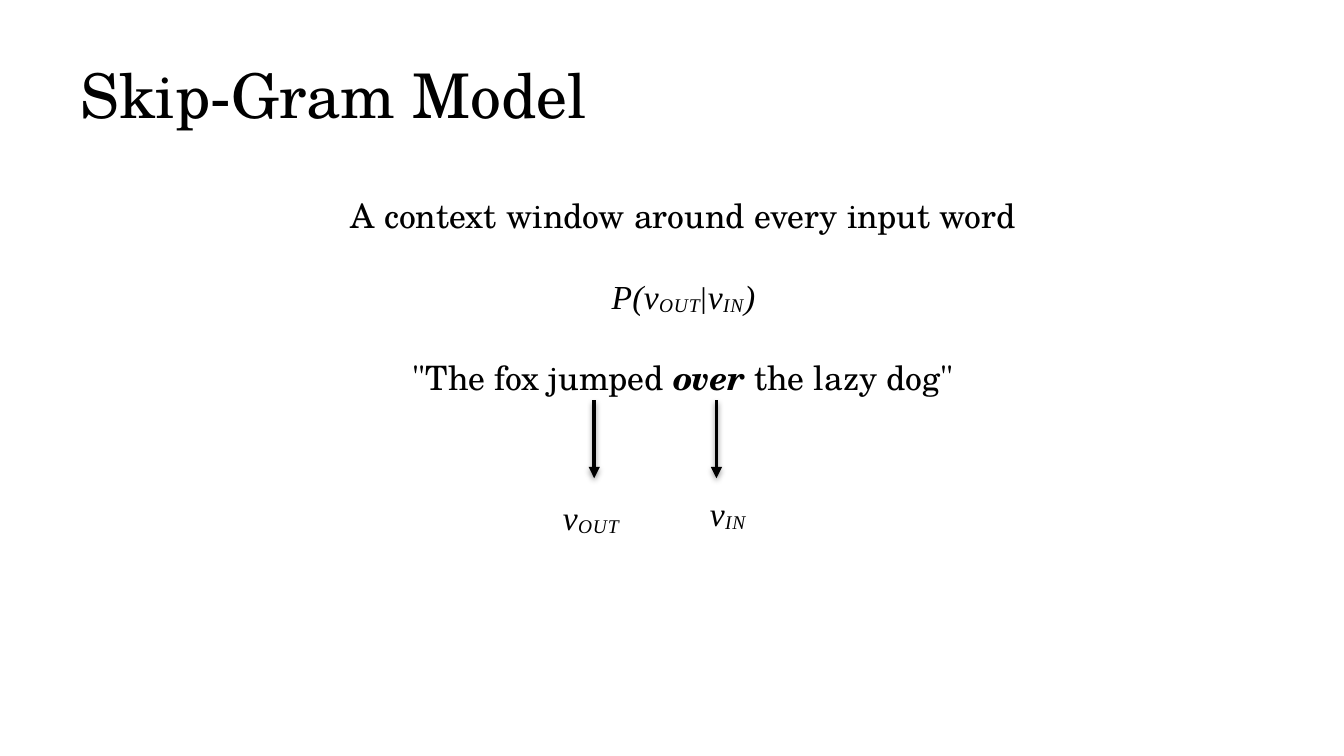
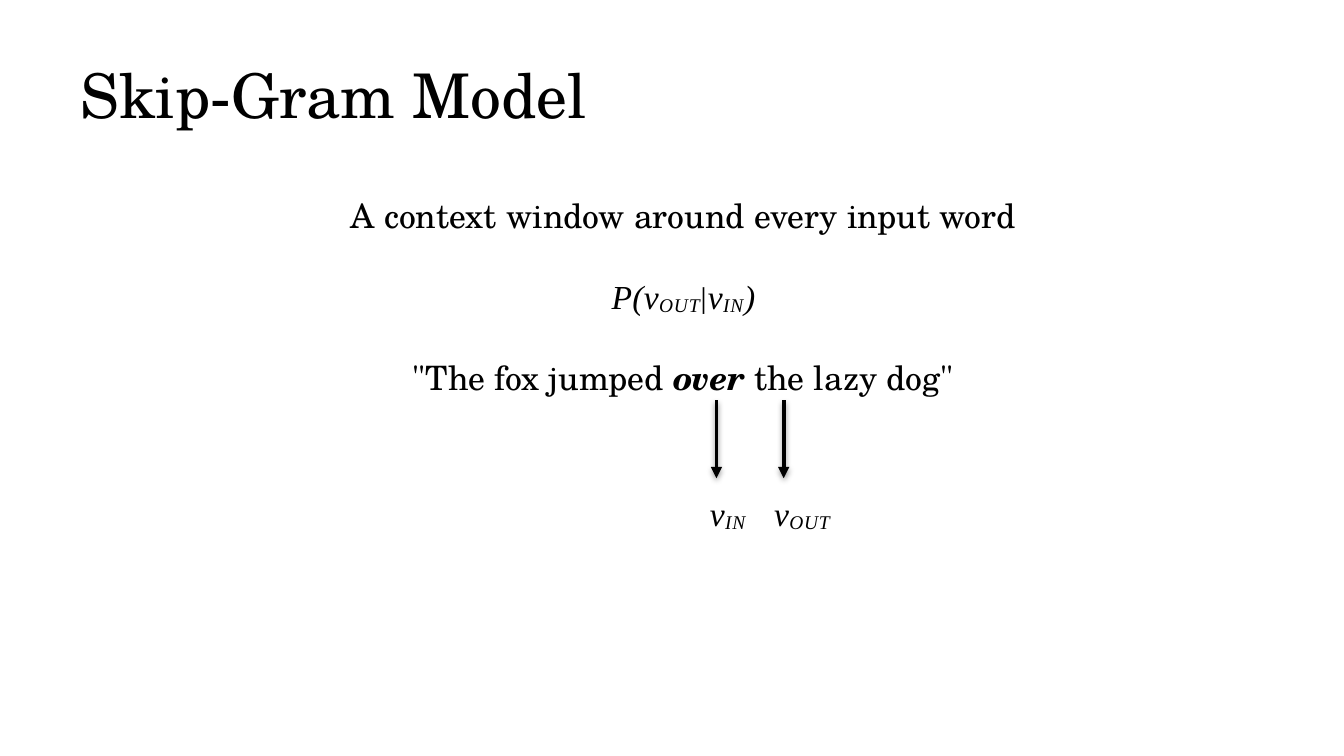
from lxml import etree
from pptx import Presentation
from pptx.dml.color import RGBColor
from pptx.enum.shapes import MSO_CONNECTOR
from pptx.enum.text import MSO_ANCHOR, MSO_AUTO_SIZE, PP_ALIGN
from pptx.oxml.ns import qn
from pptx.util import Cm, Pt

BLACK = RGBColor(0, 0, 0)
WHITE = RGBColor(255, 255, 255)
LEFT, CENTER = PP_ALIGN.LEFT, PP_ALIGN.CENTER
MIDDLE, TOP = MSO_ANCHOR.MIDDLE, MSO_ANCHOR.TOP
NO_FIT, FIT = MSO_AUTO_SIZE.NONE, MSO_AUTO_SIZE.SHAPE_TO_FIT_TEXT
STRAIGHT = MSO_CONNECTOR.STRAIGHT

SCHOLA, PAGELLA, TIMES = "TeX Gyre Schola", "TeX Gyre Pagella", "Times New Roman"

# A span is its text and the run settings that differ from its paragraph.
VAR = {"italic": True, "spc": 20}
SUB = {"italic": True, "spc": 40, "base": -10000}
V_OUT = [("v", VAR), ("OUT", SUB)]
V_IN = [("v", VAR), ("IN", SUB)]
BODY = [
    (SCHOLA, [("A context window around every input word", {})]),
    (TIMES, [("P(", VAR), *V_OUT, ("|", {"face": PAGELLA, "spc": 20}),
             *V_IN, (")", VAR)]),
    (SCHOLA, [('"The fox jumped ', {}), ("over", {"bold": True, "italic": True}),
              (' the lazy dog"', {})]),
]


class Deck:
    def __init__(self):
        self.prs = Presentation()
        self.prs.slide_width, self.prs.slide_height = Cm(25.4), Cm(14.29)
        self.slide = None

    def start(self):
        self.slide = self.prs.slides.add_slide(self.prs.slide_layouts[1])
        fill = self.slide.background.fill
        fill.solid()
        fill.fore_color.rgb = WHITE

    def place(self, shape, x, y, w, h):
        shape.left, shape.top, shape.width, shape.height = Cm(x), Cm(y), Cm(w), Cm(h)

    def fill_text(self, para, spans, face, size=18, align=LEFT):
        para.alignment = align
        font = para.font
        font.name, font.size, font.color.rgb = face, Pt(size), BLACK
        for text, style in spans:
            run = para.add_run()
            run.text = text
            run.font.name = style.get("face", face)
            run.font.bold = style.get("bold")
            run.font.italic = style.get("italic")
            props = run._r.get_or_add_rPr()
            for key, name in (("spc", "spc"), ("base", "baseline")):
                if key in style:
                    props.set(name, str(style[key]))

    def title(self, text):
        shape = self.slide.shapes.title
        self.place(shape, 1.27, 0.58, 22.86, 2.39)
        frame = shape.text_frame
        frame.auto_size, frame.vertical_anchor = NO_FIT, MIDDLE
        self.fill_text(frame.paragraphs[0], [(text, {})], SCHOLA, 33)

    def body(self, lines, height):
        shape = self.slide.placeholders[1]
        self.place(shape, 1.27, 3.56, 23.29, height)
        frame = shape.text_frame
        frame.auto_size, frame.vertical_anchor = NO_FIT, TOP
        for i, (face, spans) in enumerate(lines):
            para = frame.add_paragraph() if i else frame.paragraphs[0]
            para.space_before, para.space_after = Pt(0), Pt(21.7)
            self.fill_text(para, spans, face, align=CENTER)
            props = para._p.get_or_add_pPr()
            props.set("marL", "0")
            props.set("indent", "0")
            props.find(qn("a:defRPr")).addprevious(etree.Element(qn("a:buNone")))

    def arrow(self, x):
        """Draw a shadowed arrow down from a word of the sentence."""
        line = self.slide.shapes.add_connector(
            STRAIGHT, Cm(x), Cm(7.57), Cm(x), Cm(9.04))
        line.line.color.rgb, line.line.width = BLACK, Pt(2)
        props = line._element.spPr
        etree.SubElement(props.find(qn("a:ln")), qn("a:tailEnd"), type="triangle")
        effects = etree.SubElement(props, qn("a:effectLst"))
        shadow = etree.SubElement(
            effects, qn("a:outerShdw"), blurRad=str(Pt(3.1)), dist=str(Pt(1.6)),
            dir="5400000", rotWithShape="0")
        color = etree.SubElement(shadow, qn("a:srgbClr"), val=str(BLACK))
        etree.SubElement(color, qn("a:alpha"), val="38000")

    def label(self, spans, x, y, w, align=LEFT):
        box = self.slide.shapes.add_textbox(Cm(x), Cm(y), Cm(w), Cm(1.02))
        frame = box.text_frame
        frame.word_wrap, frame.auto_size = False, FIT
        self.fill_text(frame.paragraphs[0], spans, TIMES, align=align)


def main():
    deck = Deck()
    # Body height, output arrow x, output label x and y
    for height, tip, left, top in ((5.64, 11.23, 10.39, 9.27),
                                   (4.88, 14.81, 14.38, 9.19)):
        deck.start()
        deck.title("Skip-Gram Model")
        deck.body(BODY, height)
        deck.arrow(13.54)
        deck.arrow(tip)
        deck.label(V_OUT, left, top, 1.68)
        deck.label(V_IN, 13.13, 9.19, 1.24, CENTER)
    deck.prs.save("out.pptx")


if __name__ == "__main__":
    main()
